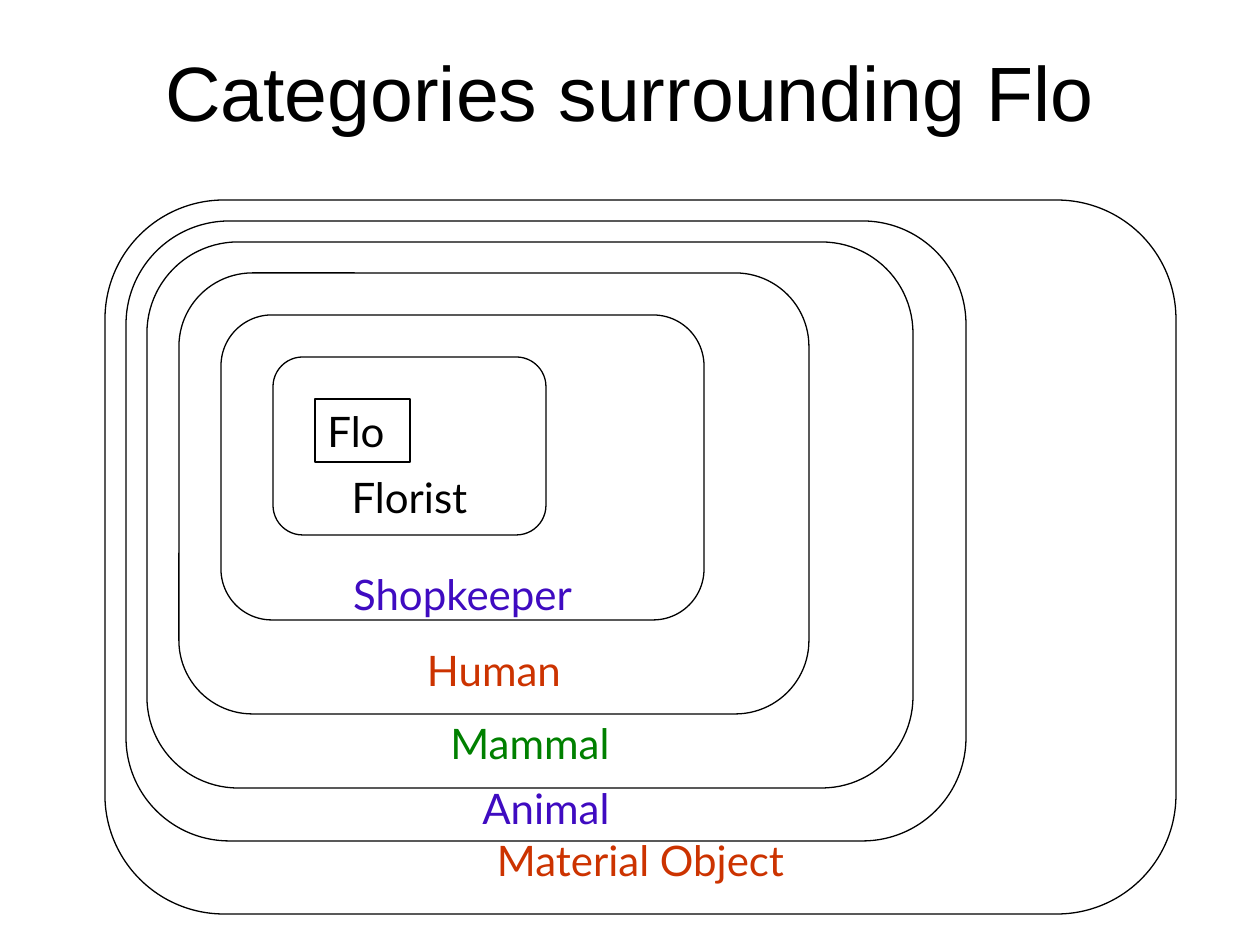
from pptx import Presentation
from pptx.dml.color import RGBColor
from pptx.enum.shapes import MSO_SHAPE
from pptx.enum.text import MSO_ANCHOR, PP_ALIGN
from pptx.util import Emu, Pt

BLACK = RGBColor(0x00, 0x00, 0x00)
VIOLET = RGBColor(0x3F, 0x0B, 0xC1)
RED = RGBColor(0xCC, 0x33, 0x00)
GREEN = RGBColor(0x00, 0x80, 0x00)

TITLE = "Categories surrounding Flo"
TITLE_BOX = (63, 38, 1134, 105)
MEMBER = "Flo"
MEMBER_BOX = (315, 399, 95, 63)

# label, colour, box (left, top, width, height), middle of the label line
CATEGORIES = [
    ("Florist", BLACK, (273, 357, 273, 178), 497),
    ("Shopkeeper", VIOLET, (221, 315, 483, 305), 594),
    ("Human", RED, (179, 273, 630, 441), 670),
    ("Mammal", GREEN, (147, 242, 766, 546), 743),
    ("Animal", VIOLET, (126, 221, 840, 620), 808),
    ("Material Object", RED, (105, 200, 1071, 714), 860),
]


def px(n):
    return Emu(round(n * 914400 / 126))


def write(sp, text, size, font, color, align, **frame):
    tf = sp.text_frame
    for name, value in frame.items():
        setattr(tf, name, value)
    p = tf.paragraphs[0]
    p.alignment = align
    r = p.add_run()
    r.text = text
    for name, value in {"size": Pt(size), "name": font}.items():
        setattr(r.font, name, value)
    r.font.color.rgb = color


def add_outline(slide, kind, box, weight):
    sp = slide.shapes.add_shape(kind, *map(px, box))
    sp.shadow.inherit = False
    sp.fill.background()
    sp.line.color.rgb = BLACK
    sp.line.width = Pt(weight)
    return sp


def add_category(slide, label, color, box, label_y):
    """Outline whose top margin pushes the centred label down to label_y."""
    sp = add_outline(slide, MSO_SHAPE.FLOWCHART_ALTERNATE_PROCESS, box, 0.75)
    middle = box[1] + box[3] / 2
    write(sp, label, 24, "Lato", color, PP_ALIGN.CENTER,
          vertical_anchor=MSO_ANCHOR.MIDDLE, word_wrap=False,
          margin_top=px(2 * (label_y - middle)), margin_bottom=0)


def main():
    prs = Presentation()
    prs.slide_width, prs.slide_height = px(1260), px(945)
    slide = prs.slides.add_slide(prs.slide_layouts[6])

    title = slide.shapes.add_textbox(*map(px, TITLE_BOX))
    write(title, TITLE, 44, "Arial", BLACK, PP_ALIGN.CENTER,
          vertical_anchor=MSO_ANCHOR.MIDDLE, word_wrap=True)

    member = add_outline(slide, MSO_SHAPE.RECTANGLE, MEMBER_BOX, 1.5)
    write(member, MEMBER, 24, "Lato", BLACK, PP_ALIGN.LEFT,
          vertical_anchor=MSO_ANCHOR.TOP, word_wrap=True)

    for category in CATEGORIES:
        add_category(slide, *category)

    prs.save("out.pptx")


if __name__ == "__main__":
    main()
